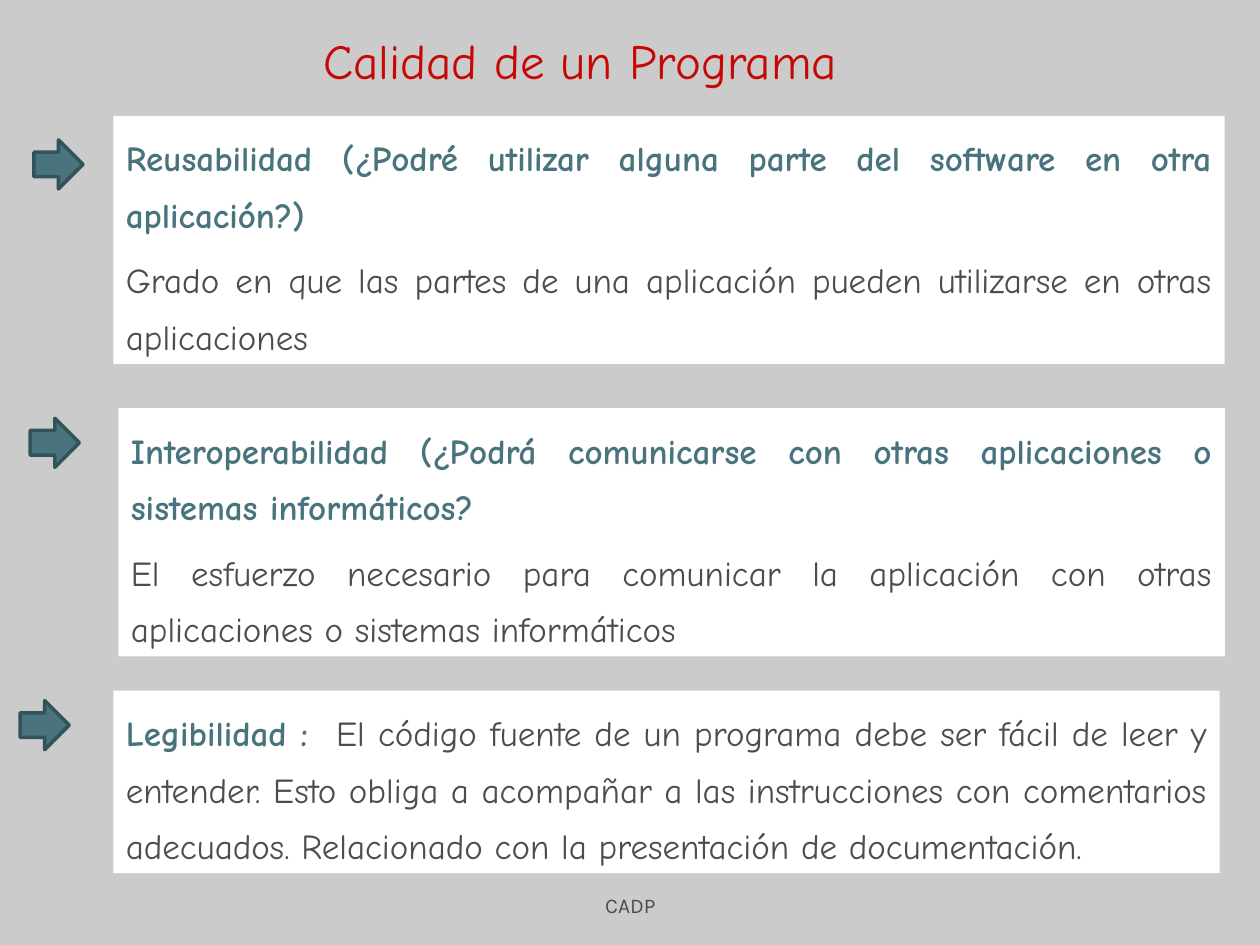
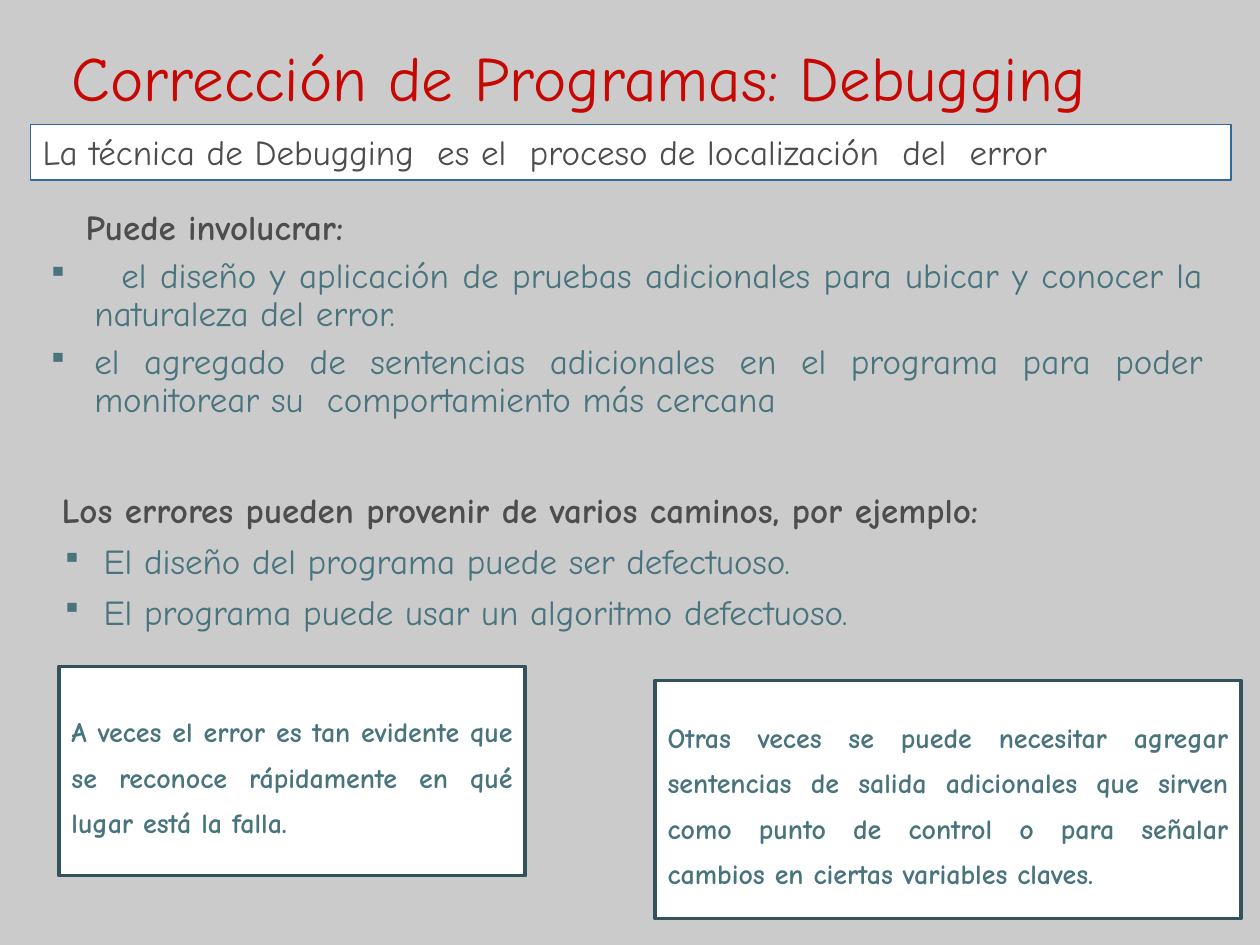
import pptx
import pptx.util
import pptx.dml.color
import pptx.enum.shapes
import pptx.enum.text
import pptx.oxml.ns
from lxml import etree

Pt = pptx.util.Pt
RGBColor = pptx.dml.color.RGBColor
ALIGN = pptx.enum.text.PP_ALIGN
ANCHOR = pptx.enum.text.MSO_ANCHOR
SHAPE = pptx.enum.shapes.MSO_SHAPE

BACKGROUND = RGBColor(0xCB, 0xCB, 0xCB)
WHITE = RGBColor(0xFF, 0xFF, 0xFF)
RED = RGBColor(0xC6, 0x07, 0x02)
TEAL = RGBColor(0x49, 0x74, 0x7D)
DARK_TEAL = RGBColor(0x33, 0x53, 0x5A)
GREY = RGBColor(0x4D, 0x4D, 0x4D)
BLUE = RGBColor(0x33, 0x66, 0x99)

HEADING_FONT = "Comic Neue"
FOOTER_FONT = "Karla"
TITLE_ONLY = 5
ARROW_SIZE = 28.1

LOOSE = {"alignment": ALIGN.JUSTIFY, "line_spacing": 1.35, "space_before": Pt(5)}
PLAIN = {"alignment": ALIGN.JUSTIFY, "line_spacing": 1.0, "space_before": Pt(5)}
TIGHT = {"alignment": ALIGN.JUSTIFY, "line_spacing": 0.9, "space_before": Pt(6)}


def set_values(target, values):
    for name, value in values.items():
        setattr(target, name, value)


def add_run(paragraph, text, color, size=20, bold=False, font=HEADING_FONT):
    run = paragraph.add_run()
    run.text = text
    set_values(run.font, {"name": font, "size": Pt(size), "bold": bold})
    run.font.color.rgb = color


def set_indent(paragraph, left, first=0):
    properties = paragraph._p.get_or_add_pPr()
    properties.set("marL", str(Pt(left)))
    properties.set("indent", str(Pt(first)))


def add_bullet(paragraph, hanging):
    """Give the paragraph a small teal square and a hanging indent."""
    set_indent(paragraph, hanging, -hanging)
    properties = paragraph._p.get_or_add_pPr()
    qn = pptx.oxml.ns.qn
    color = etree.SubElement(properties, qn("a:buClr"))
    etree.SubElement(color, qn("a:srgbClr"), val=str(TEAL))
    etree.SubElement(properties, qn("a:buSzPct"), val="80000")
    etree.SubElement(properties, qn("a:buChar"), char="▪")


def prepare_frame(shape, anchor=ANCHOR.TOP):
    frame = shape.text_frame
    set_values(frame, {
        "word_wrap": True,
        "auto_size": pptx.enum.text.MSO_AUTO_SIZE.NONE,
        "vertical_anchor": anchor,
        "margin_left": Pt(7.2), "margin_right": Pt(7.2),
        "margin_top": Pt(3.6), "margin_bottom": Pt(3.6),
    })
    return frame


def next_paragraph(frame, style):
    first = frame.paragraphs[0]
    paragraph = frame.add_paragraph() if first.runs else first
    set_values(paragraph, style)
    return paragraph


def add_text_box(slide, box, anchor=ANCHOR.TOP):
    return prepare_frame(slide.shapes.add_textbox(*map(Pt, box)), anchor)


def add_filled_shape(slide, kind, box, fill, line=None, width=2):
    shape = slide.shapes.add_shape(kind, *map(Pt, box))
    shape.shadow.inherit = False
    shape.fill.solid()
    shape.fill.fore_color.rgb = fill
    if line is None:
        shape.line.fill.background()
    else:
        shape.line.color.rgb = line
        shape.line.width = Pt(width)
    return shape


def add_titled_slide(presentation, text, box, size, anchor):
    slide = presentation.slides.add_slide(presentation.slide_layouts[TITLE_ONLY])
    title = slide.shapes.title
    set_values(title, dict(zip(("left", "top", "width", "height"), map(Pt, box))))
    style = {**LOOSE, "space_before": Pt(size / 4)}
    paragraph = next_paragraph(prepare_frame(title, anchor), style)
    add_run(paragraph, text, RED, size)
    return slide


def add_quality_panel(slide, box, arrow_offset, paragraphs):
    """Place a white panel with an arrow offset from its top left corner."""
    left, top = box[:2]
    across, down = arrow_offset
    add_filled_shape(slide, SHAPE.RIGHT_ARROW,
                     (left + across, top + down, ARROW_SIZE, ARROW_SIZE), TEAL, DARK_TEAL)
    frame = prepare_frame(add_filled_shape(slide, SHAPE.RECTANGLE, box, WHITE))
    for runs in paragraphs:
        paragraph = next_paragraph(frame, LOOSE)
        for text, is_heading in runs:
            add_run(paragraph, text, TEAL if is_heading else GREY, bold=is_heading)


def add_footer(slide, box):
    frame = add_text_box(slide, box, ANCHOR.BOTTOM)
    paragraph = next_paragraph(frame, {"alignment": ALIGN.CENTER})
    add_run(paragraph, "CADP", GREY, 12, font=FOOTER_FONT)


def add_definition(slide, box):
    shape = add_filled_shape(slide, SHAPE.RECTANGLE, box, WHITE, BLUE, 0.75)
    paragraph = next_paragraph(prepare_frame(shape), {**PLAIN, "alignment": ALIGN.LEFT})
    add_run(paragraph, "La técnica de Debugging  es el  proceso de localización  del  error", GREY)


def add_bullet_list(slide, box, heading, items, style, heading_indent, hanging):
    frame = add_text_box(slide, box)
    paragraph = next_paragraph(frame, style)
    paragraph.space_before = Pt(0) if style is TIGHT else style["space_before"]
    set_indent(paragraph, heading_indent)
    add_run(paragraph, heading, GREY, bold=True)
    for item in items:
        paragraph = next_paragraph(frame, style)
        add_bullet(paragraph, hanging)
        add_run(paragraph, item, TEAL)


def add_remark(slide, box, text):
    shape = add_filled_shape(slide, SHAPE.RECTANGLE, box, WHITE, DARK_TEAL)
    frame = prepare_frame(shape, ANCHOR.MIDDLE)
    paragraph = next_paragraph(frame, {**LOOSE, "space_before": Pt(4)})
    add_run(paragraph, text, TEAL, 16, bold=True)


def build_quality_slide(presentation):
    slide = add_titled_slide(presentation, "Calidad de un Programa",
                             (177.8, 3.6, 534.2, 51.1), 28, ANCHOR.BOTTOM)
    add_footer(slide, (246.2, 491.8, 228.2, 36))
    panels = [
        ((64.8, 66.2, 635, 141.8), (-45.4, 13.7), [
            [("Reusabilidad (¿Podré utilizar alguna parte del software en otra aplicación?)", True)],
            [("Grado en que las partes de una aplicación pueden utilizarse en otras aplicaciones",
              False)]]),
        ((67.7, 233.3, 632.2, 141.8), (-50.4, 5.7), [
            [("Interoperabilidad (¿Podrá comunicarse con otras aplicaciones o "
              "sistemas informáticos?", True)],
            [("El esfuerzo necesario para comunicar la aplicación con otras "
              "aplicaciones o sistemas informáticos", False)]]),
        ((64.8, 394.6, 632.2, 104.4), (-53.3, 5.7), [
            [("Legibilidad :  ", True),
             ("El código fuente de un programa debe ser fácil de leer y entender. "
              "Esto obliga a acompañar a las instrucciones con comentarios adecuados. "
              "Relacionado con la presentación de documentación.", False)]]),
    ]
    for box, arrow_offset, paragraphs in panels:
        add_quality_panel(slide, box, arrow_offset, paragraphs)


def build_debugging_slide(presentation):
    slide = add_titled_slide(presentation, "Corrección de Programas: Debugging",
                             (33.8, 12.2, 674.6, 48.2), 36, ANCHOR.MIDDLE)
    add_bullet_list(slide, (20.2, 116.6, 674.6, 139), "Puede involucrar:", [
        "  el diseño y aplicación de pruebas adicionales para ubicar y conocer "
        "la naturaleza del error.",
        "el agregado de sentencias adicionales en el programa para poder "
        "monitorear su  comportamiento más cercana",
    ], TIGHT, 21.6, 26.6)
    add_definition(slide, (17.3, 71.3, 686.2, 31.7))
    add_bullet_list(slide, (28.1, 275.8, 674.6, 89.3),
                    "Los errores pueden provenir de varios caminos, por ejemplo:", [
                        "El diseño del programa puede ser defectuoso.",
                        "El programa puede usar un algoritmo defectuoso.",
                    ], PLAIN, 0, 24)
    add_remark(slide, (33.8, 380.9, 266.4, 119.5),
               "A veces el error es tan evidente que se reconoce rápidamente "
               "en qué lugar está la falla.")
    add_remark(slide, (374.4, 388.8, 334.8, 136.1),
               "Otras veces se puede necesitar agregar sentencias de salida adicionales "
               "que sirven como punto de control o para señalar cambios en ciertas "
               "variables claves.")


def main():
    presentation = pptx.Presentation()
    set_values(presentation, {"slide_width": Pt(720), "slide_height": Pt(540)})
    background = presentation.slide_master.background.fill
    background.solid()
    background.fore_color.rgb = BACKGROUND
    build_quality_slide(presentation)
    build_debugging_slide(presentation)
    presentation.save("out.pptx")


if __name__ == "__main__":
    main()
